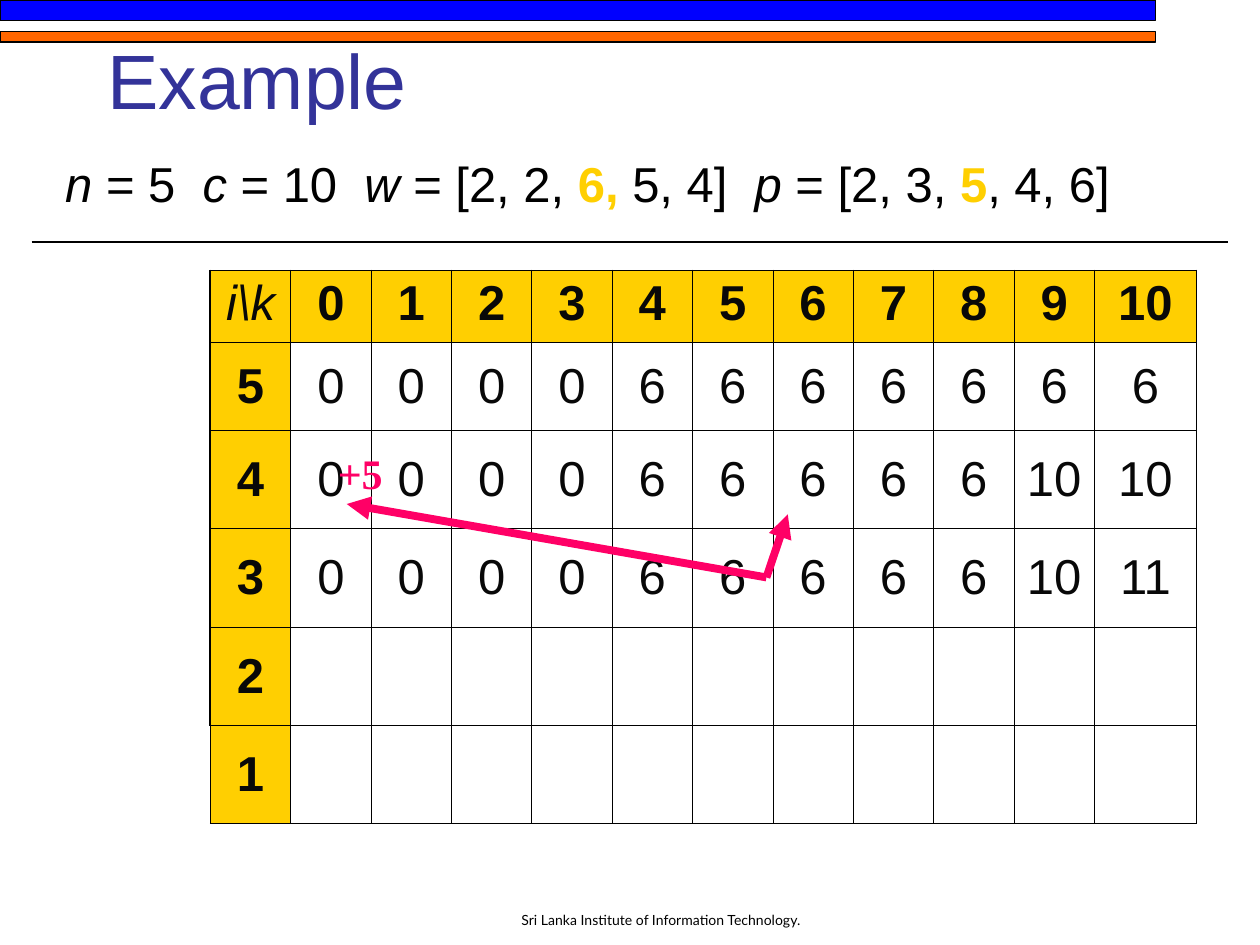
import lxml.etree
import pptx
import pptx.dml.color
import pptx.enum.shapes
import pptx.enum.text
import pptx.oxml.ns
import pptx.util
from pptx.util import Cm

BLACK, GOLD, PINK = "000000", "FFCF01", "FF0066"
qn = pptx.oxml.ns.qn


def color(value):
    return pptx.dml.color.RGBColor.from_string(value)


def style(run, font, size, value, bold=False, italic=False):
    run.font.name = font
    run.font.size = pptx.util.Pt(size)
    run.font.color.rgb = color(value)
    run.font.bold = bold
    run.font.italic = italic


presentation = pptx.Presentation()
presentation.slide_width = Cm(25.4)
presentation.slide_height = Cm(19.05)
slide = presentation.slides.add_slide(presentation.slide_layouts[1])

# Bars across the top
for top, height, fill in ((0, 0.42, "0000FF"), (0.64, 0.21, "FF6600")):
    bar = slide.shapes.add_shape(
        pptx.enum.shapes.MSO_SHAPE.RECTANGLE, 0, Cm(top), Cm(23.29), Cm(height))
    bar.shadow.inherit = False
    bar.fill.solid()
    bar.fill.fore_color.rgb = color(fill)
    bar.line.color.rgb = color(BLACK)
    bar.line.width = pptx.util.Pt(0.75)

# Title
title = slide.shapes.title
title.left, title.top, title.width, title.height = Cm(1.91), Cm(0.53), Cm(21.59), Cm(2.12)
title.text_frame.text = "Example"
title.text_frame.auto_size = pptx.enum.text.MSO_AUTO_SIZE.NONE
title.text_frame.vertical_anchor = pptx.enum.text.MSO_ANCHOR.BOTTOM
title.text_frame.paragraphs[0].alignment = pptx.enum.text.PP_ALIGN.LEFT
style(title.text_frame.paragraphs[0].runs[0], "Arial", 44, "333399")

# Problem data
body = slide.placeholders[1]
body.left, body.top, body.width, body.height = Cm(1.06), Cm(2.96), Cm(24.34), Cm(2.33)
body.text_frame.auto_size = pptx.enum.text.MSO_AUTO_SIZE.NONE
paragraph = body.text_frame.paragraphs[0]
paragraph.space_before = 0
properties = paragraph._p.get_or_add_pPr()
properties.set("marL", str(Cm(0.95)))
properties.set("indent", str(Cm(-0.95)))
lxml.etree.SubElement(properties, qn("a:buNone"))
problem = (
    ("n ", "variable"), ("= 5  ", ""), ("c", "variable"), (" = 10  ", ""),
    ("w", "variable"), (" = [2, 2, ", ""), ("6,", "current"), (" 5, 4]  ", ""),
    ("p", "variable"), (" = [2, 3, ", ""), ("5", "current"), (", 4, 6]", ""),
)
for text, role in problem:
    run = paragraph.add_run()
    run.text = text
    current = role == "current"
    style(run, "Arial", 28, GOLD if current else BLACK, current, role == "variable")

# Table of best profits: items down, capacities across
rows = [
    ["i\\k", *range(11)],
    [5, 0, 0, 0, 0, 6, 6, 6, 6, 6, 6, 6],
    [4, 0, 0, 0, 0, 6, 6, 6, 6, 6, 10, 10],
    [3, 0, 0, 0, 0, 6, 6, 6, 6, 6, 10, 11],
    [2] + [""] * 11,
    [1] + [""] * 11,
]
widths = [1.62] * 11 + [2.06]
heights = [1.45, 1.78] + [1.98] * 4
last_row, last_column = len(rows) - 1, len(widths) - 1
table = slide.shapes.add_table(
    len(rows), len(widths), Cm(4.24), Cm(5.45), Cm(sum(widths)), Cm(sum(heights))).table
table.first_row = False
table.horz_banding = False
for column, width in zip(table.columns, widths):
    column.width = Cm(width)
for row, height in zip(table.rows, heights):
    row.height = Cm(height)

for r, values in enumerate(rows):
    for c, value in enumerate(values):
        cell = table.cell(r, c)
        header = r == 0 or c == 0
        if r > 0:
            cell.vertical_anchor = pptx.enum.text.MSO_ANCHOR.MIDDLE
        cell.text_frame.text = str(value)
        paragraph = cell.text_frame.paragraphs[0]
        paragraph.alignment = pptx.enum.text.PP_ALIGN.CENTER
        for run in paragraph.runs:
            corner = r == 0 and c == 0
            style(run, "Arial", 28, "080808", header and not corner, corner)

        outer_edges = {
            "a:lnL": c == 0 and r < last_row,
            "a:lnR": c == last_column,
            "a:lnT": r == 0,
            "a:lnB": r == last_row,
        }
        properties = cell._tc.get_or_add_tcPr()
        for tag, outer in outer_edges.items():
            border = lxml.etree.SubElement(
                properties, qn(tag), w=str(pptx.util.Pt(1.08 if outer else 0.45)))
            fill = lxml.etree.SubElement(border, qn("a:solidFill"))
            lxml.etree.SubElement(fill, qn("a:srgbClr"), val=BLACK)
        if header:
            cell.fill.solid()
            cell.fill.fore_color.rgb = color(GOLD)
        else:
            cell.fill.background()

# Rule under the data, and arrows to the two candidate cells
lines = (
    (0.64, 4.88, 24.76, 4.88, BLACK, 1.5, False),
    (15.45, 11.64, 6.99, 10.16, PINK, 4.5, True),
    (15.45, 11.64, 15.88, 10.37, PINK, 4.5, True),
)
for x1, y1, x2, y2, value, width, arrow in lines:
    line = slide.shapes.add_connector(
        pptx.enum.shapes.MSO_CONNECTOR.STRAIGHT, Cm(x1), Cm(y1), Cm(x2), Cm(y2))
    line.line.color.rgb = color(value)
    line.line.width = pptx.util.Pt(width)
    if arrow:
        lxml.etree.SubElement(line.line._get_or_add_ln(), qn("a:tailEnd"), type="triangle")
    lxml.etree.SubElement(line._element.spPr, qn("a:effectLst"))

# Added profit
gain = slide.shapes.add_textbox(Cm(6.56), Cm(8.89), Cm(1.5), Cm(1.27))
gain.text_frame.text = "+5"
gain.text_frame.word_wrap = False
gain.text_frame.auto_size = pptx.enum.text.MSO_AUTO_SIZE.NONE
style(gain.text_frame.paragraphs[0].runs[0], "Times New Roman", 24, PINK, bold=True)

# Footer
footer = slide.shapes.add_textbox(Cm(9.31), Cm(17.57), Cm(8.04), Cm(1.27))
footer.text_frame.text = "Sri Lanka Institute of Information Technology."
footer.text_frame.word_wrap = True
footer.text_frame.vertical_anchor = pptx.enum.text.MSO_ANCHOR.BOTTOM
footer.text_frame.paragraphs[0].alignment = pptx.enum.text.PP_ALIGN.CENTER
style(footer.text_frame.paragraphs[0].runs[0], "Lato", 8, BLACK)

presentation.save("out.pptx")
